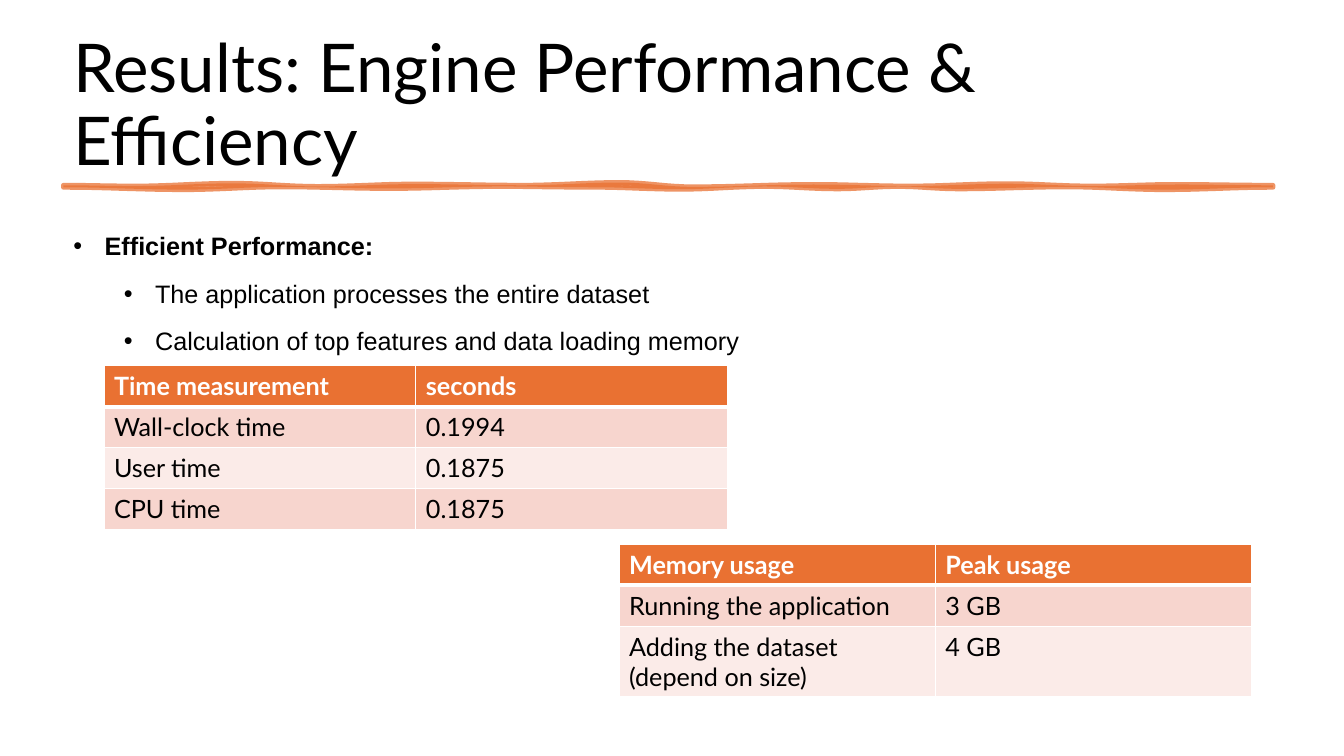
import math

from lxml import etree
from pptx import Presentation
from pptx.dml.color import RGBColor
from pptx.enum import text as txt
from pptx.oxml import ns
from pptx.util import Cm, Pt

ORANGE = RGBColor(0xE9, 0x71, 0x32)
BAND_DARK = RGBColor(0xF7, 0xD5, 0xCE)
BAND_LIGHT = RGBColor(0xFB, 0xEB, 0xE8)
BLACK = RGBColor(0, 0, 0)
WHITE = RGBColor(0xFF, 0xFF, 0xFF)

# Waves of the brush stroke: (share of its width, height in cm)
UPPER_WAVES = [(0, 0), (0.06, 0.02), (0.14, -0.05), (0.21, 0.03),
               (0.29, -0.03), (0.38, 0), (0.46, -0.07), (0.52, 0.04),
               (0.62, -0.02), (0.7, 0.02), (0.78, -0.04), (0.85, 0.02),
               (0.92, -0.02), (1, 0)]
LOWER_WAVES = [(0, 0.05), (0.1, 0.11), (0.18, 0.04), (0.27, 0.08),
               (0.36, 0.03), (0.44, 0.05), (0.51, 0.1), (0.58, 0.03),
               (0.64, 0.09), (0.69, 0.03), (0.74, 0.09), (0.83, 0.04),
               (0.91, 0.11), (1, 0.05)]


def write(paragraph, words, size=18, font="Lato", color=BLACK, bold=False,
          spacing=1.0):
    paragraph.line_spacing = spacing
    run = paragraph.add_run()
    run.text = words
    run.font.size = Pt(size)
    run.font.name = font
    run.font.bold = bold
    run.font.color.rgb = color


def add_frame(slide, box, anchor):
    frame = slide.shapes.add_textbox(*map(Cm, box)).text_frame
    frame.word_wrap = True
    frame.vertical_anchor = anchor
    return frame


def add_title(slide, box, words):
    frame = add_frame(slide, box, txt.MSO_ANCHOR.BOTTOM)
    write(frame.paragraphs[0], words, size=48, spacing=0.9)


def wave_points(box, waves):
    """Join the waves with smooth half-cosine steps."""
    left, top, width, _ = box
    points = []
    for (x0, y0), (x1, y1) in zip(waves, waves[1:]):
        for step in range(8):
            share = step / 8
            ease = (1 - math.cos(math.pi * share)) / 2
            points.append((Cm(left + width * (x0 + (x1 - x0) * share)),
                           Cm(top + y0 + (y1 - y0) * ease)))
    points.append((Cm(left + width), Cm(top + waves[-1][1])))
    return points


def add_brush_stroke(slide, box):
    outline = (wave_points(box, UPPER_WAVES)
               + wave_points(box, LOWER_WAVES)[::-1])
    builder = slide.shapes.build_freeform(*outline[0])
    builder.add_line_segments(outline[1:], close=True)
    stroke = builder.convert_to_shape()
    stroke.shadow.inherit = False
    stroke.fill.solid()
    stroke.fill.fore_color.rgb = ORANGE
    stroke.line.color.rgb = ORANGE
    stroke.line.width = Pt(3.5)
    # 75 % opacity for both fill and line
    for color in stroke.element.spPr.iter(ns.qn("a:srgbClr")):
        etree.SubElement(color, ns.qn("a:alpha"), val="75000")
    line = stroke.element.spPr.find(ns.qn("a:ln"))
    etree.SubElement(line, ns.qn("a:round"))


def add_bullets(slide, box, items):
    frame = add_frame(slide, box, txt.MSO_ANCHOR.TOP)
    for index, (level, words) in enumerate(items):
        item = frame.add_paragraph() if index else frame.paragraphs[0]
        item.level = level
        item.space_before = Pt(1.5)
        write(item, words, font="Arial", bold=level == 0, spacing=1.5)
        props = item._p.get_or_add_pPr()
        props.set("marL", str(Cm(0.79 + 1.27 * level)))
        props.set("indent", str(Cm(-0.79)))
        etree.SubElement(props, ns.qn("a:buFont"), typeface="Arial")
        etree.SubElement(props, ns.qn("a:buChar"), char="•")


def add_borders(cell, bottom):
    props = cell._tc.get_or_add_tcPr()
    for side, width in (("L", 1), ("R", 1), ("T", 1), ("B", bottom)):
        line = etree.SubElement(props, ns.qn(f"a:ln{side}"), w=str(Pt(width)))
        fill = etree.SubElement(line, ns.qn("a:solidFill"))
        etree.SubElement(fill, ns.qn("a:srgbClr"), val=str(WHITE))


def add_measures(slide, box, rows, heights):
    table = slide.shapes.add_table(len(rows), len(rows[0]),
                                   *map(Cm, box)).table
    for r, row in enumerate(rows):
        table.rows[r].height = Cm(heights[r])
        header = r == 0
        band = BAND_DARK if r % 2 else BAND_LIGHT
        for c, words in enumerate(row):
            cell = table.cell(r, c)
            add_borders(cell, bottom=3 if header else 1)
            cell.fill.solid()
            cell.fill.fore_color.rgb = ORANGE if header else band
            write(cell.text_frame.paragraphs[0], words, bold=header,
                  color=WHITE if header else BLACK)


def main():
    deck = Presentation()
    deck.slide_width, deck.slide_height = Cm(33.87), Cm(19.05)
    slide = deck.slides.add_slide(deck.slide_layouts[6])

    # Heading
    add_title(slide, (1.6, 0.66, 30.6, 3.99),
              "Results: Engine Performance & Efficiency")
    add_brush_stroke(slide, (1.6, 4.67, 30.48, 0.05))

    # Time and memory tables
    add_measures(slide, (2.62, 9.22, 15.72, 4.12),
                 [("Time measurement", "seconds"),
                  ("Wall-clock time", "0.1994"),
                  ("User time", "0.1875"),
                  ("CPU time", "0.1875")],
                 [1.03] * 4)
    add_measures(slide, (15.6, 13.72, 15.94, 3.82),
                 [("Memory usage", "Peak usage"),
                  ("Running the application", "3 GB"),
                  ("Adding the dataset (depend on size)", "4 GB")],
                 [1.03, 1.03, 1.76])

    # Findings
    add_bullets(slide, (1.6, 5.31, 20.98, 3.58),
                [(0, "Efficient Performance:"),
                 (1, "The application processes the entire dataset"),
                 (1, "Calculation of top features and data loading memory")])
    deck.save("out.pptx")


if __name__ == "__main__":
    main()
